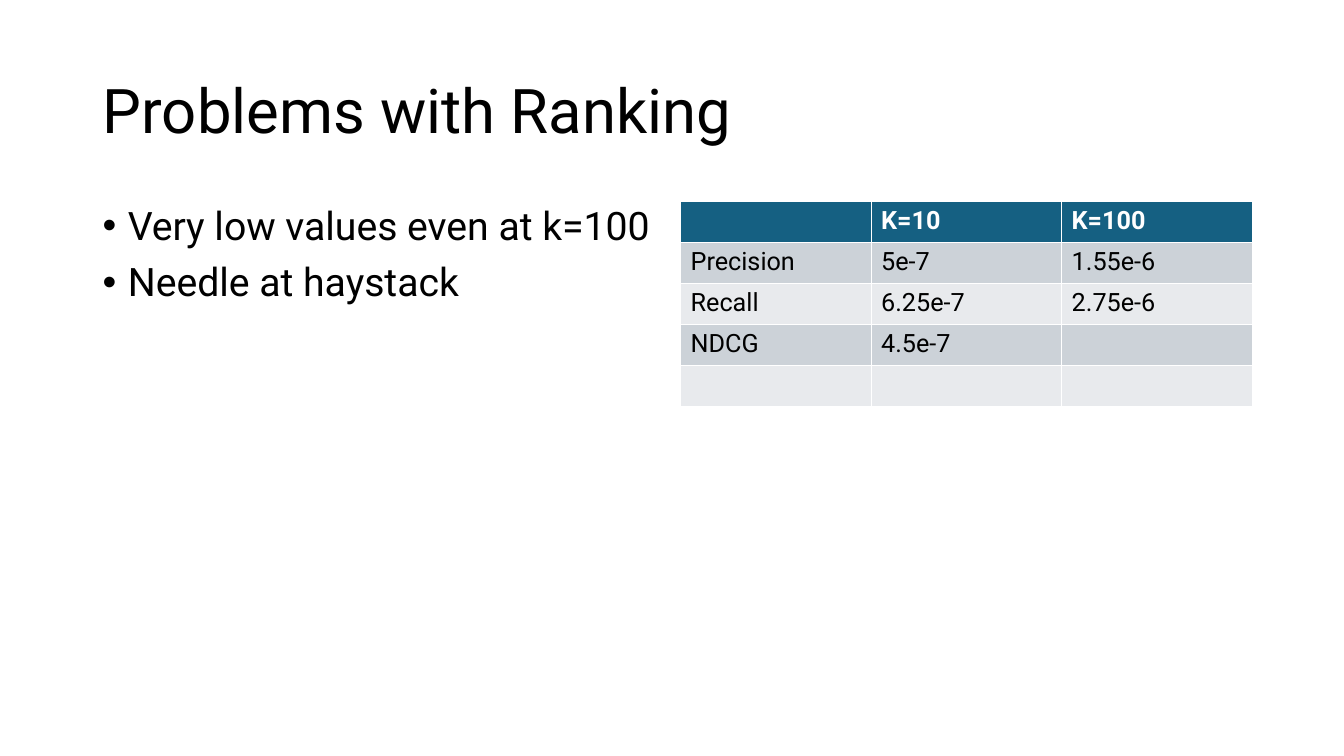
from lxml.etree import SubElement
from pptx import Presentation
from pptx.dml.color import RGBColor
from pptx.enum.text import MSO_ANCHOR as Anchor, PP_ALIGN as Align
from pptx.oxml.ns import qn
from pptx.util import Inches, Pt

BLACK = RGBColor(0x00, 0x00, 0x00)
WHITE = RGBColor(0xFF, 0xFF, 0xFF)
HEADER_BLUE = RGBColor(0x15, 0x60, 0x82)
BAND_DARK = RGBColor(0xCC, 0xD2, 0xD8)
BAND_LIGHT = RGBColor(0xE8, 0xEA, 0xED)

TITLE = "Problems with Ranking"
POINTS = ["Very low values even at k=100", "Needle at haystack"]
METRICS = [
    ["", "K=10", "K=100"],
    ["Precision", "5e-7", "1.55e-6"],
    ["Recall", "6.25e-7", "2.75e-6"],
    ["NDCG", "4.5e-7", ""],
    ["", "", ""],
]


def write(paragraph, text, size, color=BLACK, bold=False):
    run = paragraph.add_run()
    run.text = text
    font_format = {"name": "Roboto", "size": Pt(size), "bold": bold}
    for name, value in font_format.items():
        setattr(run.font, name, value)
    run.font.color.rgb = color


def add_title(slide, left, top, width, height):
    title = slide.shapes.title
    box = {"left": left, "top": top, "width": width, "height": height}
    for name, value in box.items():
        setattr(title, name, Inches(value))
    title.text_frame.vertical_anchor = Anchor.MIDDLE
    paragraph = title.text_frame.paragraphs[0]
    paragraph.alignment = Align.LEFT
    paragraph.line_spacing = 0.9
    write(paragraph, TITLE, 44)


def add_points(slide, left, top, width, height):
    shape = slide.shapes.add_textbox(*map(Inches, (left, top, width, height)))
    frame = shape.text_frame
    frame.word_wrap = True
    for index, point in enumerate(POINTS):
        paragraph = frame.add_paragraph() if index else frame.paragraphs[0]
        paragraph.line_spacing = 0.9
        paragraph.space_before = Pt(10 if index else 0)
        # Hanging bullet
        properties = paragraph._p.get_or_add_pPr()
        properties.set("marL", str(Inches(0.25)))
        properties.set("indent", str(-Inches(0.25)))
        SubElement(properties, qn("a:buFont"), typeface="Arial")
        SubElement(properties, qn("a:buChar"), char="•")
        write(paragraph, point, 28)


def add_metrics_table(slide, left, top, width, height):
    # The default table style supplies the white borders
    frame = slide.shapes.add_table(
        len(METRICS), len(METRICS[0]), *map(Inches, (left, top, width, height)))
    for row, values in enumerate(METRICS):
        header = row == 0
        band = BAND_DARK if row % 2 else BAND_LIGHT
        for column, value in enumerate(values):
            cell = frame.table.cell(row, column)
            cell.fill.solid()
            cell.fill.fore_color.rgb = HEADER_BLUE if header else band
            if value:
                write(cell.text_frame.paragraphs[0], value, 18,
                      WHITE if header else BLACK, header)


def build_ranking_slide(presentation):
    slide = presentation.slides.add_slide(presentation.slide_layouts[5])
    add_title(slide, 0.92, 0.4, 11.5, 1.45)
    add_points(slide, 0.92, 2, 5.67, 4.76)
    add_metrics_table(slide, 6.75, 2, 5.67, 2.03)


def main():
    presentation = Presentation()
    presentation.slide_width = Inches(13.33)
    presentation.slide_height = Inches(7.5)
    build_ranking_slide(presentation)
    presentation.save("out.pptx")


if __name__ == "__main__":
    main()
